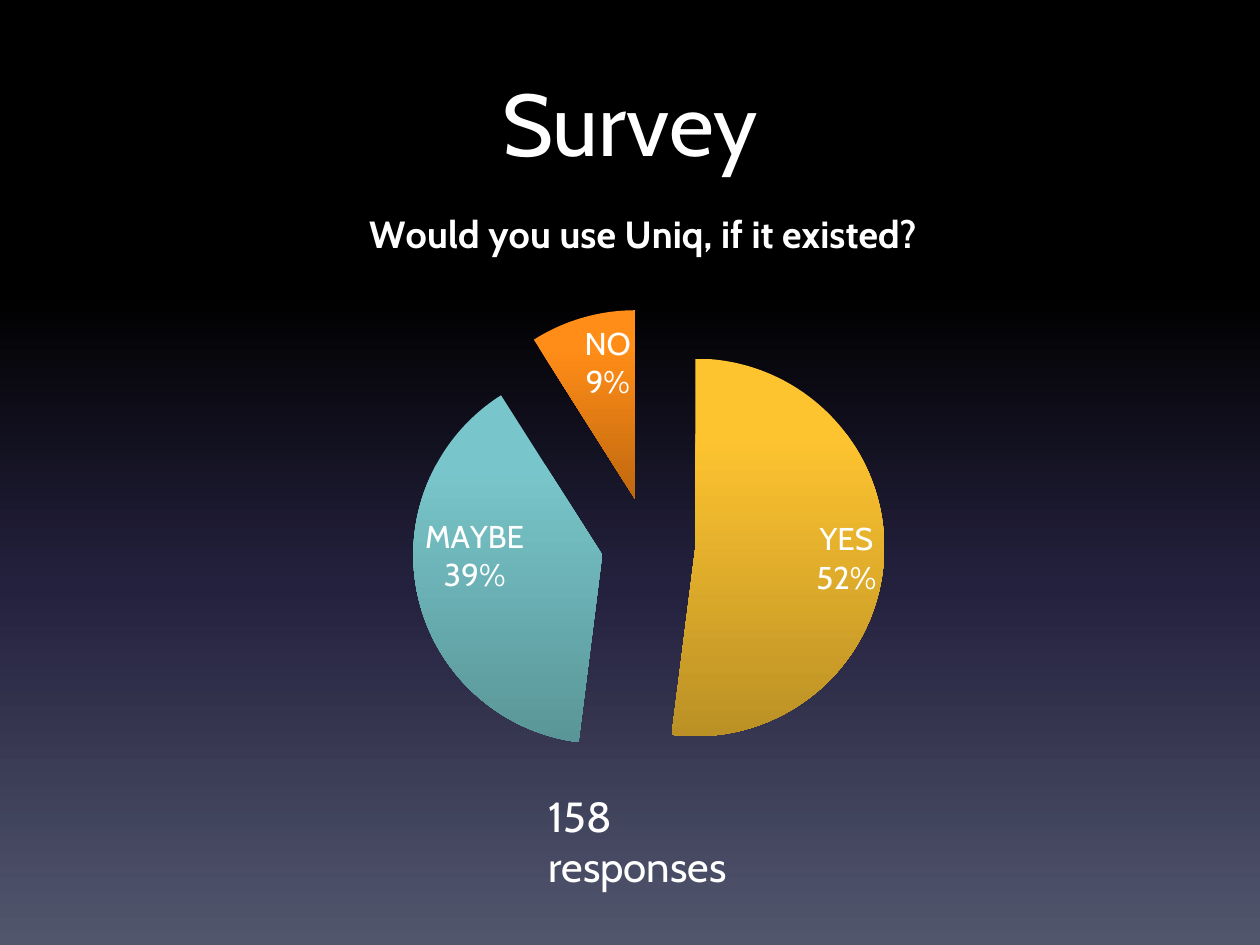
from lxml import etree
from pptx import Presentation
from pptx.chart.data import CategoryChartData
from pptx.dml.color import RGBColor
from pptx.enum.chart import XL_CHART_TYPE, XL_LABEL_POSITION
from pptx.enum.text import MSO_ANCHOR, MSO_AUTO_SIZE, PP_ALIGN
from pptx.oxml.ns import qn
from pptx.util import Pt

PIE = XL_CHART_TYPE.PIE
INSIDE_END = XL_LABEL_POSITION.INSIDE_END
TOP = MSO_ANCHOR.TOP
GROW = MSO_AUTO_SIZE.SHAPE_TO_FIT_TEXT
LEFT, CENTER = PP_ALIGN.LEFT, PP_ALIGN.CENTER

FONT = "Cabin"
COLORS = {
    "text": "FFFFFF",
    "black": "000000",
    "night": "24213E",
    "slate": "51566D",
    "yes": "FEC42F",
    "yes_dark": "BB9126",
    "maybe": "78C6CB",
    "maybe_dark": "5A9698",
    "no": "FF8D17",
    "no_dark": "C0680F",
}
QUESTION = "Would you use Uniq, if it existed?"
ANSWERS = {"YES": 52, "MAYBE": 39, "NO": 9}


def format_font(font, size, bold=False, color="text"):
    font.name = FONT
    font.size = Pt(size)
    font.bold = bold
    font.color.rgb = RGBColor.from_string(COLORS[color])


def write_text(frame, text, size, align=LEFT, bold=False, color="text"):
    para = frame.paragraphs[0]
    para.alignment = align
    span = para.add_run()
    span.text = text
    format_font(span.font, size, bold, color)


def apply_gradient(fill, owner, stops):
    fill.gradient()
    fill.gradient_angle = 270
    stop_list = owner.xpath(".//a:gsLst")[0]
    for old_stop in list(stop_list):
        stop_list.remove(old_stop)
    for percent, color in stops:
        stop = etree.SubElement(stop_list, qn("a:gs"), pos=str(percent * 1000))
        etree.SubElement(stop, qn("a:srgbClr"), val=COLORS[color])


def manual_layout(**values):
    layout = etree.Element(qn("c:layout"))
    manual = etree.SubElement(layout, qn("c:manualLayout"))
    for name, value in values.items():
        etree.SubElement(manual, qn(f"c:{name}"), val=str(value))
    return layout


class SlideBuilder:
    def __init__(self, deck):
        self.page = deck.slides.add_slide(deck.slide_layouts[6])

    def background(self, stops):
        apply_gradient(self.page.background.fill, self.page.element, stops)

    def text(self, text, left, top, width, height, size, align=LEFT, grow=False):
        box = self.page.shapes.add_textbox(Pt(left), Pt(top), Pt(width), Pt(height))
        frame = box.text_frame
        frame.word_wrap = True
        frame.vertical_anchor = TOP
        if grow:
            frame.auto_size = GROW
        write_text(frame, text, size, align)

    def pie(self, title, values, left, top, width, height, explosion):
        data = CategoryChartData()
        data.categories = list(values)
        data.add_series(title, list(values.values()))
        chart = self.page.shapes.add_chart(
            PIE, Pt(left), Pt(top), Pt(width), Pt(height), data
        ).chart
        format_font(chart.font, 18)
        chart.has_legend = False
        chart.has_title = True
        write_text(chart.chart_title.text_frame, title, 21.6, CENTER, bold=True)
        chart.chart_title.include_in_layout = False

        area = chart.element.xpath(".//c:plotArea")[0]
        for old_layout in area.xpath("c:layout"):
            area.remove(old_layout)
        area.insert(0, manual_layout(
            layoutTarget="inner", xMode="edge", yMode="edge",
            x=0.087, y=0.193, w=0.835, h=0.711,
        ))
        for old_layout in chart.element.xpath(".//c:title/c:layout"):
            old_layout.getparent().remove(old_layout)
        chart.element.xpath(".//c:title/c:tx")[0].addnext(
            manual_layout(xMode="edge", yMode="edge", x=0.258, y=0.03)
        )

        plot = chart.plots[0]
        plot.vary_by_categories = True
        for index, answer in enumerate(values):
            point_format = plot.series[0].points[index].format
            point_format.line.fill.background()
            point = chart.element.xpath(".//c:dPt")[index]
            name = answer.lower()
            stops = [(0, name), (20, name), (100, f"{name}_dark")]
            apply_gradient(point_format.fill, point, stops)
        offset = etree.Element(qn("c:explosion"), val=str(explosion))
        chart.element.xpath(".//c:dPt")[0].addprevious(offset)

        plot.has_data_labels = True
        labels = plot.data_labels
        labels.show_category_name = True
        labels.show_percentage = True
        labels.show_value = False
        labels.number_format = "0%"
        labels.number_format_is_linked = False
        labels.position = INSIDE_END
        format_font(labels.font, 18)
        separator = etree.Element(qn("c:separator"))
        separator.text = "\n"
        chart.element.xpath(".//c:dLbls/c:showBubbleSize")[0].addnext(separator)


def main():
    deck = Presentation()
    deck.slide_width, deck.slide_height = Pt(720), Pt(540)
    slide = SlideBuilder(deck)
    slide.background([(0, "black"), (31, "black"), (62, "night"), (100, "slate")])
    slide.text("Survey", 36, 36, 648, 90, size=50, align=CENTER)
    slide.pie(QUESTION, ANSWERS, 36, 103, 663, 379.5, explosion=25)
    slide.text("158 responses", 306.4, 448, 157, 36, size=24, grow=True)
    deck.save("out.pptx")


if __name__ == "__main__":
    main()
